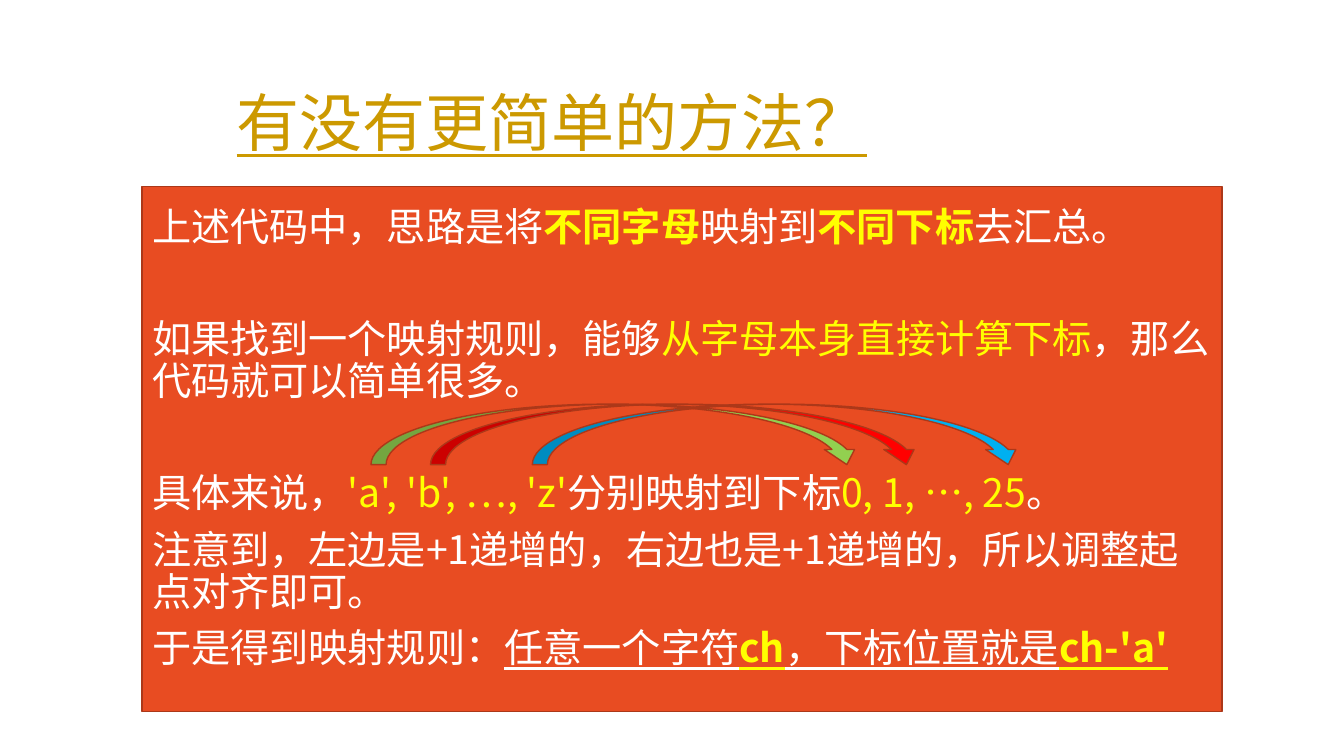
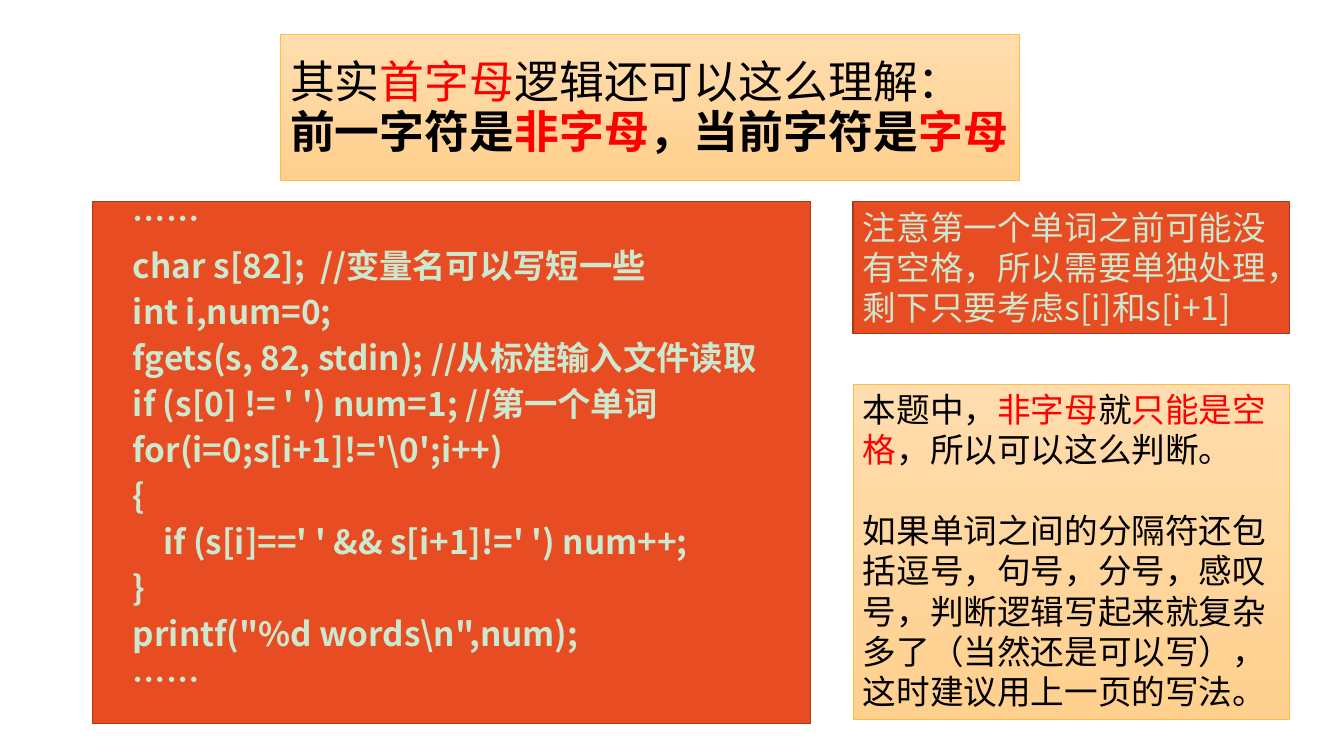
from dataclasses import dataclass

from lxml.etree import SubElement
from pptx import Presentation
from pptx.dml.color import RGBColor
from pptx.enum.shapes import MSO_SHAPE
from pptx.enum.text import MSO_ANCHOR, PP_ALIGN
from pptx.oxml.ns import qn
from pptx.util import Inches, Pt


@dataclass(frozen=True)
class Theme:
    font: str = "Noto Sans CJK SC"
    white: str = "FFFFFF"
    mint: str = "CCE8CF"
    black: str = "000000"
    gold: str = "CC9900"
    yellow: str = "FFFF00"
    red: str = "FF0000"
    green: str = "92D050"
    blue: str = "00B0F0"
    orange: str = "E84C22"
    rust: str = "AC3819"
    amber: str = "FFBD47"
    cream: tuple = ("FFDDAE", "FFD08E")
    title_size: float = 45
    heading_size: float = 32
    body_size: float = 28
    note_size: float = 24
    code_size: float = 23.8


THEME = Theme()


def add_panel(slide, box, fill, line, line_width=1, preset=MSO_SHAPE.RECTANGLE):
    shape = slide.shapes.add_shape(preset, *map(Inches, box))
    shape.shadow.inherit = False
    if isinstance(fill, tuple):
        shape.fill.gradient()
        shape.fill.gradient_angle = 270
        for stop, color in zip(shape.fill.gradient_stops, fill):
            stop.color.rgb = RGBColor.from_string(color)
    else:
        shape.fill.solid()
        shape.fill.fore_color.rgb = RGBColor.from_string(fill)
    shape.line.color.rgb = RGBColor.from_string(line)
    shape.line.width = Pt(line_width)
    return shape


def add_red_panel(slide, box):
    return add_panel(slide, box, THEME.orange, THEME.rust)


def add_cream_panel(slide, box):
    return add_panel(slide, box, THEME.cream, THEME.amber, 0.5)


def add_run(paragraph, text, size, color, bold=False, underline=False):
    run = paragraph.add_run()
    run.text = text
    font = run.font
    font.name, font.size = THEME.font, Pt(size)
    font.bold, font.underline = bold, underline
    font.color.rgb = RGBColor.from_string(color)
    SubElement(font._element, qn("a:ea")).set("typeface", THEME.font)


def write_text(shape, paragraphs, size, color, pitch, before=0, gaps=None,
               indents=None, anchor=MSO_ANCHOR.TOP, top=0.05, **style):
    frame = shape.text_frame
    frame.word_wrap = True
    frame.vertical_anchor = anchor
    frame.margin_left = frame.margin_right = Inches(0.1)
    frame.margin_top, frame.margin_bottom = Inches(top), Inches(0.05)
    for index, runs in enumerate(paragraphs):
        paragraph = frame.add_paragraph() if index else frame.paragraphs[0]
        paragraph.alignment = PP_ALIGN.LEFT
        paragraph.line_spacing = Pt(pitch)
        paragraph.space_before = Pt((gaps or {}).get(index, before))
        if indents:
            paragraph._p.get_or_add_pPr().set("marL", str(Inches(indents[index])))
            paragraph._p.get_or_add_pPr().set("indent", "0")
        for run in [runs] if isinstance(runs, str) else runs:
            text, changes = (run, {}) if isinstance(run, str) else run
            add_run(paragraph, text, **{"size": size, "color": color, **style, **changes})


def add_mapping_arrows(slide, box):
    left, top, width, height = box
    for offset, color in ((0, THEME.green), (0.59, THEME.red), (1.6, THEME.blue)):
        add_panel(slide, (left + offset, top, width, height), color, THEME.rust,
                  preset=MSO_SHAPE.CURVED_DOWN_ARROW)


def add_mapping_rule(slide, box):
    yellow = {"color": THEME.yellow}
    strong = {**yellow, "bold": True}
    underlined = {"underline": True}
    result = {**strong, **underlined}
    paragraphs = [
        ["上述代码中，思路是将", ("不同字母", strong), "映射到", ("不同下标", strong), "去汇总。"],
        ["如果找到一个映射规则，能够", ("从字母本身直接计算下标", yellow), "，那么代码就可以简单很多。"],
        ["具体来说，", ("'a', 'b', …, 'z'", yellow), "分别映射到下标", ("0, 1, …, 25", yellow), "。"],
        "注意到，左边是+1递增的，右边也是+1递增的，所以调整起点对齐即可。",
        ["于是得到映射规则：", ("任意一个字符", underlined), ("ch", result),
         ("，下标位置就是", underlined), ("ch-'a'", result)],
    ]
    write_text(add_red_panel(slide, box), paragraphs, THEME.body_size, THEME.white,
               pitch=30.2, before=10, gaps={1: 50, 2: 50}, top=0.2)
    left, top = box[:2]
    add_mapping_arrows(slide, (left + 2.27, top + 2.16, 4.87, 0.6))


def add_code(slide, box):
    lines = [
        (0, "……"),
        (0, "char s[82];  //变量名可以写短一些"),
        (0, "int i,num=0;"),
        (0, "fgets(s, 82, stdin); //从标准输入文件读取"),
        (0, "if (s[0] != ' ') num=1; //第一个单词"),
        (0, r"for(i=0;s[i+1]!='\0';i++)"),
        (0, "{"),
        (1, "if (s[i]==' ' && s[i+1]!=' ') num++;"),
        (0, "}"),
        (0, r'printf("%d words\n",num);'),
        (0, "……"),
    ]
    write_text(add_red_panel(slide, box), [text for level, text in lines],
               THEME.code_size, THEME.mint, pitch=22.9, before=10, bold=True,
               indents=[0.3 * (level + 1) for level, text in lines])


def add_first_word_note(slide, box):
    write_text(add_red_panel(slide, box),
               ["注意第一个单词之前可能没有空格，所以需要单独处理，剩下只要考虑s[i]和s[i+1]"],
               THEME.note_size, THEME.mint, pitch=28.8)


def add_separator_note(slide, box):
    red = {"color": THEME.red}
    paragraphs = [
        ["本题中，", ("非字母", red), "就", ("只能是空格", red), "，所以可以这么判断。"],
        "如果单词之间的分隔符还包括逗号，句号，分号，感叹号，判断逻辑写起来就复杂多了"
        "（当然还是可以写），这时建议用上一页的写法。",
    ]
    write_text(add_cream_panel(slide, box), paragraphs, THEME.note_size, THEME.black,
               pitch=28.8, gaps={1: 28.8})


def add_heading(slide, box):
    red, bold = {"color": THEME.red}, {"bold": True}
    paragraphs = [
        ["其实", ("首字母", red), "逻辑还可以这么理解："],
        [("前一字符是", bold), ("非字母", {**red, **bold}),
         ("，当前字符是", bold), ("字母", {**red, **bold})],
    ]
    write_text(add_cream_panel(slide, box), paragraphs, THEME.heading_size, THEME.black,
               pitch=35.5, anchor=MSO_ANCHOR.MIDDLE)


def build_mapping_slide(slide):
    title = slide.shapes.add_textbox(*map(Inches, (2.25, 0.81, 8.93, 0.86)))
    write_text(title, ["有没有更简单的方法？"], THEME.title_size, THEME.gold,
               pitch=48.6, anchor=MSO_ANCHOR.MIDDLE, underline=True)
    add_mapping_rule(slide, (1.41, 1.85, 10.71, 5.21))


def build_code_slide(slide):
    add_heading(slide, (2.78, 0.34, 7.33, 1.45))
    add_code(slide, (0.92, 2, 7.12, 5.18))
    add_first_word_note(slide, (8.46, 2, 4.33, 1.31))
    add_separator_note(slide, (8.46, 3.81, 4.33, 3.33))


def main():
    presentation = Presentation()
    presentation.slide_width = Inches(13.33)
    presentation.slide_height = Inches(7.5)
    for build in (build_mapping_slide, build_code_slide):
        build(presentation.slides.add_slide(presentation.slide_layouts[6]))
    presentation.save("out.pptx")


if __name__ == "__main__":
    main()
